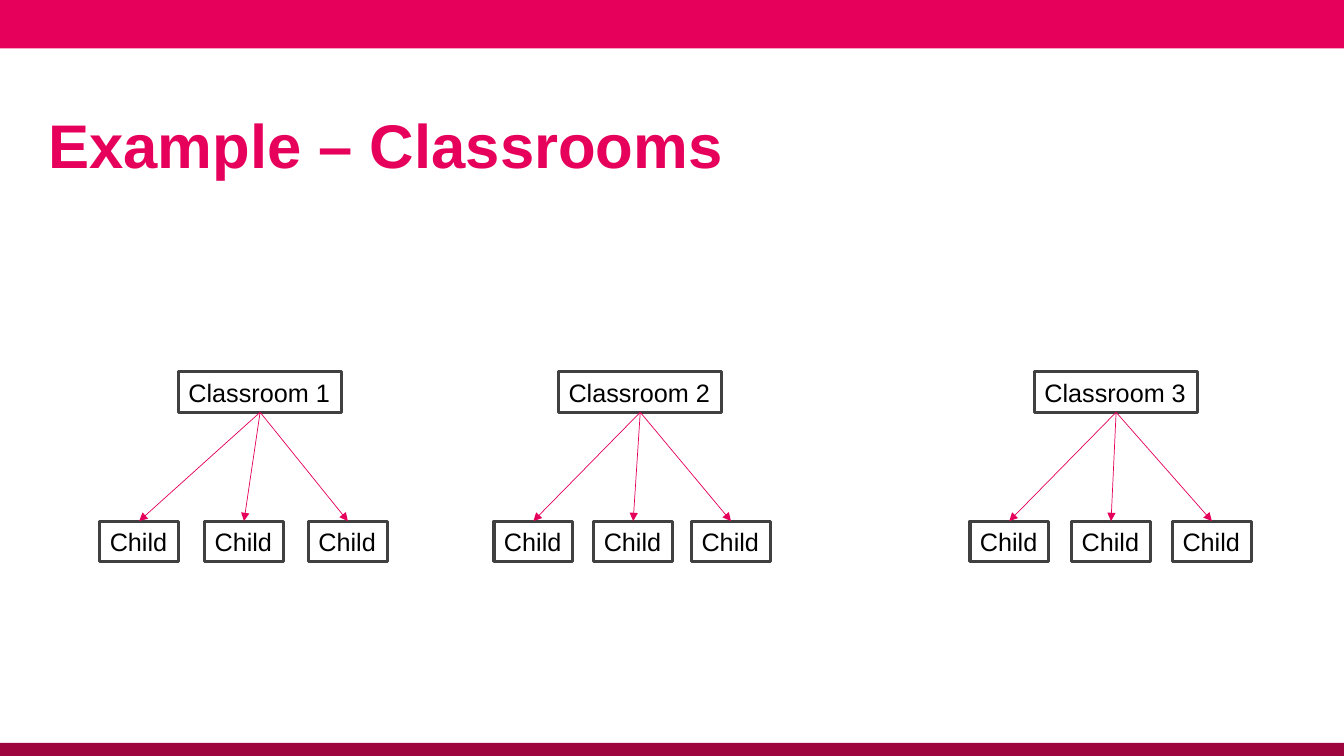
from dataclasses import dataclass

from lxml import etree
from pptx import Presentation
from pptx.dml.color import RGBColor
from pptx.enum.shapes import MSO_CONNECTOR, MSO_SHAPE
from pptx.enum.text import MSO_ANCHOR, MSO_AUTO_SIZE, PP_ALIGN
from pptx.oxml.ns import qn
from pptx.util import Inches, Pt


@dataclass(frozen=True)
class Theme:
    font: str = "Arial"
    pink: RGBColor = RGBColor(0xE6, 0x00, 0x5B)
    arrow: RGBColor = RGBColor(0xE5, 0x00, 0x5B)
    dark_pink: RGBColor = RGBColor(0x9E, 0x04, 0x3D)
    border: RGBColor = RGBColor(0x40, 0x40, 0x40)
    text: RGBColor = RGBColor(0x00, 0x00, 0x00)
    title_size: int = 44
    label_size: int = 18


theme = Theme()


def write(tf, text, size=theme.label_size, color=theme.text, bold=False):
    p = tf.paragraphs[0]
    p.alignment = PP_ALIGN.LEFT
    r = p.add_run()
    r.text = text
    r.font.name = theme.font
    r.font.size = Pt(size)
    r.font.bold = bold
    r.font.color.rgb = color


def add_label(slide, text, left, top, width):
    sp = slide.shapes.add_textbox(Inches(left), Inches(top), Inches(width), Inches(0.4))
    sp.line.color.rgb = theme.border
    sp.line.width = Pt(2.25)
    tf = sp.text_frame
    tf.word_wrap = False
    tf.auto_size = MSO_AUTO_SIZE.SHAPE_TO_FIT_TEXT
    write(tf, text)
    return sp


prs = Presentation()
prs.slide_width = Inches(13.33)
prs.slide_height = Inches(7.5)
slide = prs.slides.add_slide(prs.slide_layouts[5])

# Bars at the top and bottom edges
for top, height, color in [(0, 0.48, theme.pink), (7.37, 0.13, theme.dark_pink)]:
    bar = slide.shapes.add_shape(
        MSO_SHAPE.RECTANGLE, 0, Inches(top), prs.slide_width, Inches(height))
    bar.shadow.inherit = False
    bar.fill.solid()
    bar.fill.fore_color.rgb = color
    bar.line.fill.background()

# Title
title = slide.shapes.title
title.left, title.top = Inches(0.48), Inches(0.88)
title.width, title.height = Inches(12.36), Inches(1.1)
tf = title.text_frame
tf.auto_size = MSO_AUTO_SIZE.NONE
tf.vertical_anchor = MSO_ANCHOR.MIDDLE
tf.margin_left = 0
write(tf, "Example – Classrooms", size=theme.title_size, color=theme.pink, bold=True)

# Classrooms, each with arrows to its children
classrooms = [
    ("Classroom 1", 1.77, (0.99, 2.03, 3.06)),
    ("Classroom 2", 5.54, (4.9, 5.89, 6.86)),
    ("Classroom 3", 10.26, (9.62, 10.63, 11.63)),
]
BOTTOM, TOP = 2, 0  # connection sites of a rectangle

for name, left, child_lefts in classrooms:
    room = add_label(slide, name, left, 3.69, 1.62)
    for child_left in child_lefts:
        child = add_label(slide, "Child", child_left, 5.17, 0.78)
        arrow = slide.shapes.add_connector(MSO_CONNECTOR.STRAIGHT, 0, 0, 0, 0)
        arrow.begin_connect(room, BOTTOM)
        arrow.end_connect(child, TOP)
        arrow.line.color.rgb = theme.arrow
        arrow.line.width = Pt(0.5)
        etree.SubElement(arrow.line._get_or_add_ln(), qn("a:tailEnd"), type="triangle")
        etree.SubElement(arrow._element.spPr, qn("a:effectLst"))

prs.save("out.pptx")
